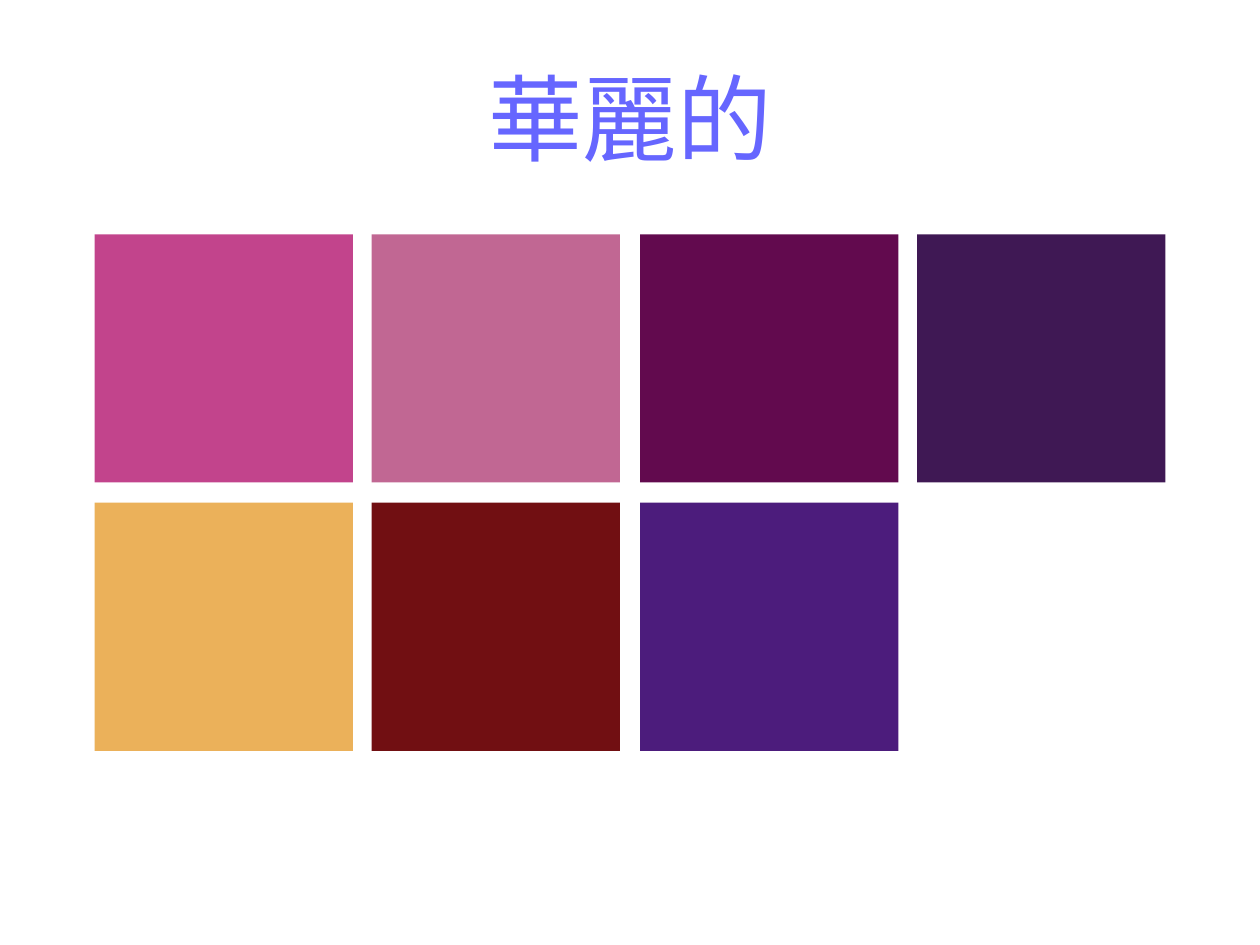
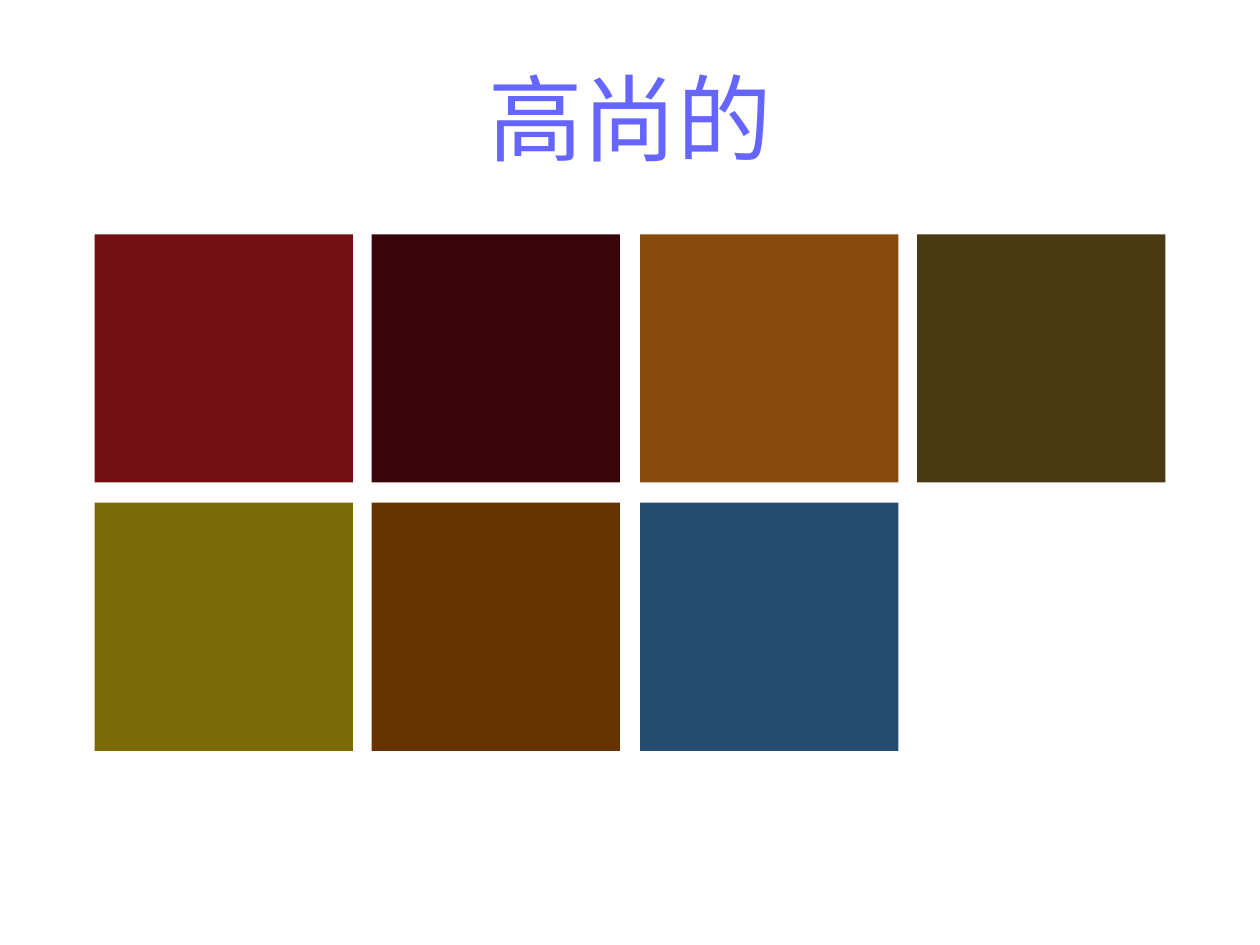
from dataclasses import dataclass

from pptx import Presentation
from pptx.dml.color import RGBColor
from pptx.enum.shapes import MSO_SHAPE
from pptx.enum.text import MSO_ANCHOR, PP_ALIGN
from pptx.presentation import Presentation as Deck
from pptx.slide import Slide
from pptx.util import Inches, Pt

RECTANGLE = MSO_SHAPE.RECTANGLE
MIDDLE = MSO_ANCHOR.MIDDLE
CENTER = PP_ALIGN.CENTER

SLIDE_WIDTH, SLIDE_HEIGHT = 10, 7.5
BLANK_LAYOUT = 6
FONT = "Arial"

COLORS = {
    "background": "FFFFFF",
    "title": "6666FF",
    "magenta": "C2448C",
    "rose": "C16793",
    "plum": "620A4E",
    "aubergine": "3F1854",
    "gold": "EBB15A",
    "crimson": "710F12",
    "violet": "4C1C7C",
    "maroon": "39040A",
    "amber": "884B0E",
    "umber": "493A13",
    "olive": "796907",
    "brown": "663300",
    "steel": "254B71",
}

# Swatch grid: wide and narrow columns alternate, so columns repeat in pairs
COLUMNS = 4
GRID_LEFT, GRID_TOP = 0.75, 1.86
COLUMN_WIDTHS = (2.05, 1.97)
COLUMN_OFFSETS = (0, 2.2)
PAIR_PITCH = 4.33
ROW_HEIGHT, ROW_PITCH = 1.97, 2.13


@dataclass(frozen=True)
class Area:
    left: float
    top: float
    width: float
    height: float

    def emu(self) -> tuple[int, int, int, int]:
        return (Inches(self.left), Inches(self.top),
                Inches(self.width), Inches(self.height))


@dataclass(frozen=True)
class Palette:
    title: str
    swatches: tuple[str, ...]


TITLE_AREA = Area(0.05 * SLIDE_WIDTH, 0.04 * SLIDE_HEIGHT, 0.9 * SLIDE_WIDTH, 1.25)

PALETTES = (
    Palette("華麗的", ("magenta", "rose", "plum", "aubergine",
                    "gold", "crimson", "violet")),
    Palette("高尚的", ("crimson", "maroon", "amber", "umber",
                    "olive", "brown", "steel")),
)


def color(name: str) -> RGBColor:
    return RGBColor.from_string(COLORS[name])


def add_text(slide: Slide, text: str, area: Area, *, size: float,
             color_name: str, align: PP_ALIGN = CENTER) -> None:
    frame = slide.shapes.add_textbox(*area.emu()).text_frame
    frame.word_wrap = True
    frame.vertical_anchor = MIDDLE
    para = frame.paragraphs[0]
    para.alignment = align
    span = para.add_run()
    span.text = text
    span.font.name = FONT
    span.font.size = Pt(size)
    span.font.color.rgb = color(color_name)


def swatch_area(index: int) -> Area:
    row, column = divmod(index, COLUMNS)
    pair, side = divmod(column, 2)
    return Area(GRID_LEFT + pair * PAIR_PITCH + COLUMN_OFFSETS[side],
                GRID_TOP + row * ROW_PITCH, COLUMN_WIDTHS[side], ROW_HEIGHT)


def add_swatch(slide: Slide, area: Area, color_name: str) -> None:
    swatch = slide.shapes.add_shape(RECTANGLE, *area.emu())
    swatch.shadow.inherit = False
    swatch.fill.solid()
    swatch.fill.fore_color.rgb = color(color_name)
    swatch.line.fill.background()


def add_palette_page(deck: Deck, palette: Palette) -> None:
    page = deck.slides.add_slide(deck.slide_layouts[BLANK_LAYOUT])
    page.background.fill.solid()
    page.background.fill.fore_color.rgb = color("background")
    add_text(page, palette.title, TITLE_AREA, size=54, color_name="title")
    for index, color_name in enumerate(palette.swatches):
        add_swatch(page, swatch_area(index), color_name)


def main() -> None:
    deck = Presentation()
    deck.slide_width = Inches(SLIDE_WIDTH)
    deck.slide_height = Inches(SLIDE_HEIGHT)
    for palette in PALETTES:
        add_palette_page(deck, palette)
    deck.save("out.pptx")


if __name__ == "__main__":
    main()
